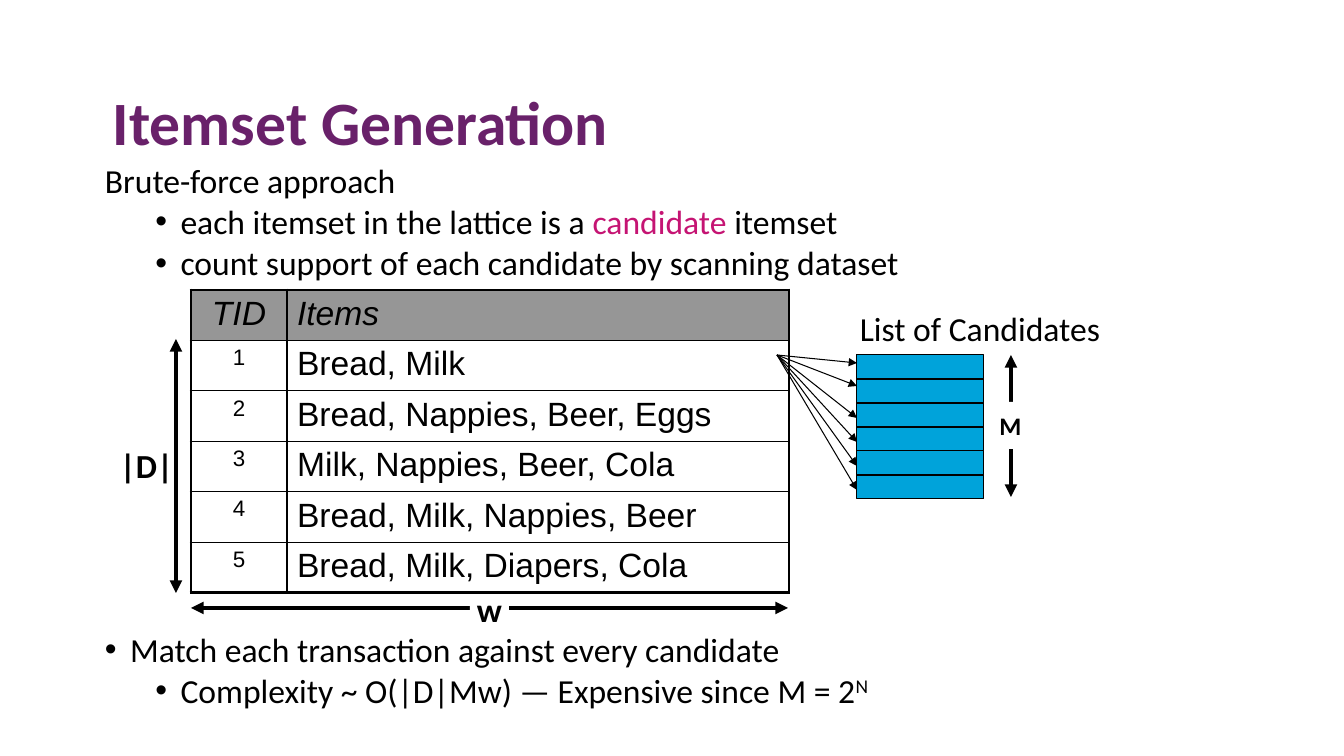
from lxml.etree import SubElement
from pptx import Presentation
from pptx.dml.color import RGBColor
from pptx.enum.shapes import MSO_CONNECTOR, MSO_SHAPE
from pptx.enum.text import MSO_ANCHOR, PP_ALIGN
from pptx.oxml import parse_xml
from pptx.oxml.ns import nsdecls, qn
from pptx.util import Emu, Pt

EMU_PER_PX = 914400 / 100.8
COLORS = {
    "black": "000000",
    "white": "FFFFFF",
    "title": "69216A",
    "accent": "C51473",
    "header": "969696",
    "candidate": "00A3DA",
}
TRANSACTIONS = [
    "Bread, Milk",
    "Bread, Nappies, Beer, Eggs",
    "Milk, Nappies, Beer, Cola",
    "Bread, Milk, Nappies, Beer",
    "Bread, Milk, Diapers, Cola",
]
APPROACH = [
    (None, [("Brute-force approach", "black")]),
    (1, [("each itemset in the lattice is a ", "black"), ("candidate", "accent"),
         (" itemset", "black")]),
    (1, [("count support of each candidate by scanning dataset", "black")]),
]
MATCHING = [
    (0, [("Match each transaction against every candidate", "black")]),
    (1, [("Complexity ~ O(|D|Mw) — Expensive since M = 2", "black")]),
]
CANDIDATE_LEFT, CANDIDATE_TOP = 857, 355
CANDIDATE_WIDTH, CANDIDATE_HEIGHT = 127, 24
FAN_START = (777, 355)
FAN_ENDS = [363, 386, 418, 442, 466, 490]
TABLE_LEFT, TABLE_TOP, TABLE_HEIGHT = 191, 290, 302
COLUMN_WIDTHS = [96, 502]


def px(*lengths):
    return [Emu(round(length * EMU_PER_PX)) for length in lengths]


def color(name):
    return RGBColor.from_string(COLORS[name])


def add_span(para, text, size=24, color_name="black", font="Calibri", bold=False, italic=False):
    span = para.add_run()
    span.text = text
    span.font.name = font
    span.font.size = Pt(size)
    span.font.bold = bold
    span.font.italic = italic
    span.font.color.rgb = color(color_name)
    return span


def add_text_box(page, left, top, width, height):
    box = page.shapes.add_textbox(*px(left, top, width, height))
    box.text_frame.word_wrap = True
    return box.text_frame


def add_line_of_text(page, area, text, spacing, **style):
    para = add_text_box(page, *area).paragraphs[0]
    para.line_spacing = spacing
    add_span(para, text, **style)


def add_outline(page, area, items):
    """Write (bullet level, spans) items; a level of None has no bullet."""
    frame = add_text_box(page, *area)
    for index, (level, spans) in enumerate(items):
        para = frame.add_paragraph() if index else frame.paragraphs[0]
        para.line_spacing = 0.85
        para.space_before = Pt(5 if index else 0)
        if level is not None:
            para.level = level
            properties = para._p.get_or_add_pPr()
            properties.set("marL", str(228600 + 457200 * level))
            properties.set("indent", "-228600")
            SubElement(properties, qn("a:buFont"), typeface="Arial")
            SubElement(properties, qn("a:buChar"), char="•")
        for text, color_name in spans:
            add_span(para, text, color_name=color_name)
    return frame


def add_rectangle(shapes, area, fill):
    box = shapes.add_shape(MSO_SHAPE.RECTANGLE, *px(*area))
    box.shadow.inherit = False
    box.fill.solid()
    box.fill.fore_color.rgb = color(fill)
    return box


def add_label(page, left, top, text, size=24):
    box = add_rectangle(page.shapes, (left, top, 39, 47), "white")
    box.line.fill.background()
    frame = box.text_frame
    frame.word_wrap = False
    frame.vertical_anchor = MSO_ANCHOR.MIDDLE
    para = frame.paragraphs[0]
    para.alignment = PP_ALIGN.CENTER
    add_span(para, text, size, bold=True)


def add_arrow(page, start, end, width=3, both_ends=True):
    arrow = page.shapes.add_connector(MSO_CONNECTOR.STRAIGHT, *px(*start, *end))
    arrow.line.color.rgb = color("black")
    arrow.line.width = Pt(width)
    line = arrow.line._get_or_add_ln()
    if both_ends:
        SubElement(line, qn("a:headEnd"), type="triangle")
    SubElement(line, qn("a:tailEnd"), type="triangle")
    SubElement(arrow._element.spPr, qn("a:effectLst"))


def set_borders(cell, widths):
    """Draw the borders, given in points as left, right, top, bottom."""
    properties = cell._tc.get_or_add_tcPr()
    for index, (side, width) in enumerate(zip("LRTB", widths)):
        border = parse_xml(
            f'<a:ln{side} {nsdecls("a")} w="{Pt(width)}"><a:solidFill>'
            f'<a:srgbClr val="{COLORS["black"]}"/></a:solidFill></a:ln{side}>')
        properties.insert(index, border)


def add_transactions(page):
    rows = [("TID", "Items")]
    rows += [(str(number), items) for number, items in enumerate(TRANSACTIONS, 1)]
    frame = page.shapes.add_table(
        len(rows), 2, *px(TABLE_LEFT, TABLE_TOP, sum(COLUMN_WIDTHS), TABLE_HEIGHT))
    table = frame.table
    table.first_row = table.horz_banding = False
    for column, width in zip(table.columns, px(*COLUMN_WIDTHS)):
        column.width = width
    for row_index, row in enumerate(rows):
        is_header = row_index == 0
        is_last = row_index == len(rows) - 1
        for column_index, text in enumerate(row):
            is_number = column_index == 0
            cell = table.cell(row_index, column_index)
            if is_header:
                cell.fill.solid()
                cell.fill.fore_color.rgb = color("header")
            else:
                cell.fill.background()
            outer = (is_number, not is_number, is_header, is_last)
            set_borders(cell, [2.25 if edge else 1 for edge in outer])
            para = cell.text_frame.paragraphs[0]
            para.alignment = PP_ALIGN.CENTER if is_number else PP_ALIGN.LEFT
            size = 16 if is_number and not is_header else 24
            add_span(para, text, size, font="Arial", italic=is_header)


def add_candidates(page):
    group = page.shapes.add_group_shape()
    for index in range(len(FAN_ENDS)):
        top = CANDIDATE_TOP + index * CANDIDATE_HEIGHT
        area = (CANDIDATE_LEFT, top, CANDIDATE_WIDTH, CANDIDATE_HEIGHT)
        box = add_rectangle(group.shapes, area, "candidate")
        box.line.color.rgb = color("black")
        box.line.width = Pt(0.75)


def main():
    deck = Presentation()
    deck.slide_width, deck.slide_height = px(1344, 756)
    page = deck.slides.add_slide(deck.slide_layouts[6])

    add_arrow(page, (191, 608), (788, 608))
    add_label(page, 470, 586, "w")
    add_line_of_text(page, (103, 87, 1156, 80), "Itemset Generation", 0.9,
                     size=44, color_name="title", bold=True)
    add_outline(page, (95, 161, 889, 130), APPROACH)
    matching = add_outline(page, (95, 630, 889, 90), MATCHING)
    exponent = add_span(matching.paragraphs[-1], "N")
    exponent.font._element.set("baseline", "30000")

    add_candidates(page)
    add_line_of_text(page, (850, 311, 294, 43), "List of Candidates", 0.8)
    add_arrow(page, (1011, 355), (1011, 497))
    add_label(page, 991, 402, "M", 18)

    add_transactions(page)
    add_arrow(page, (176, 339), (176, 593))
    add_label(page, 127, 442, "|D|")
    for end in FAN_ENDS:
        add_arrow(page, FAN_START, (CANDIDATE_LEFT, end), 0.75, both_ends=False)

    deck.save("out.pptx")


if __name__ == "__main__":
    main()
